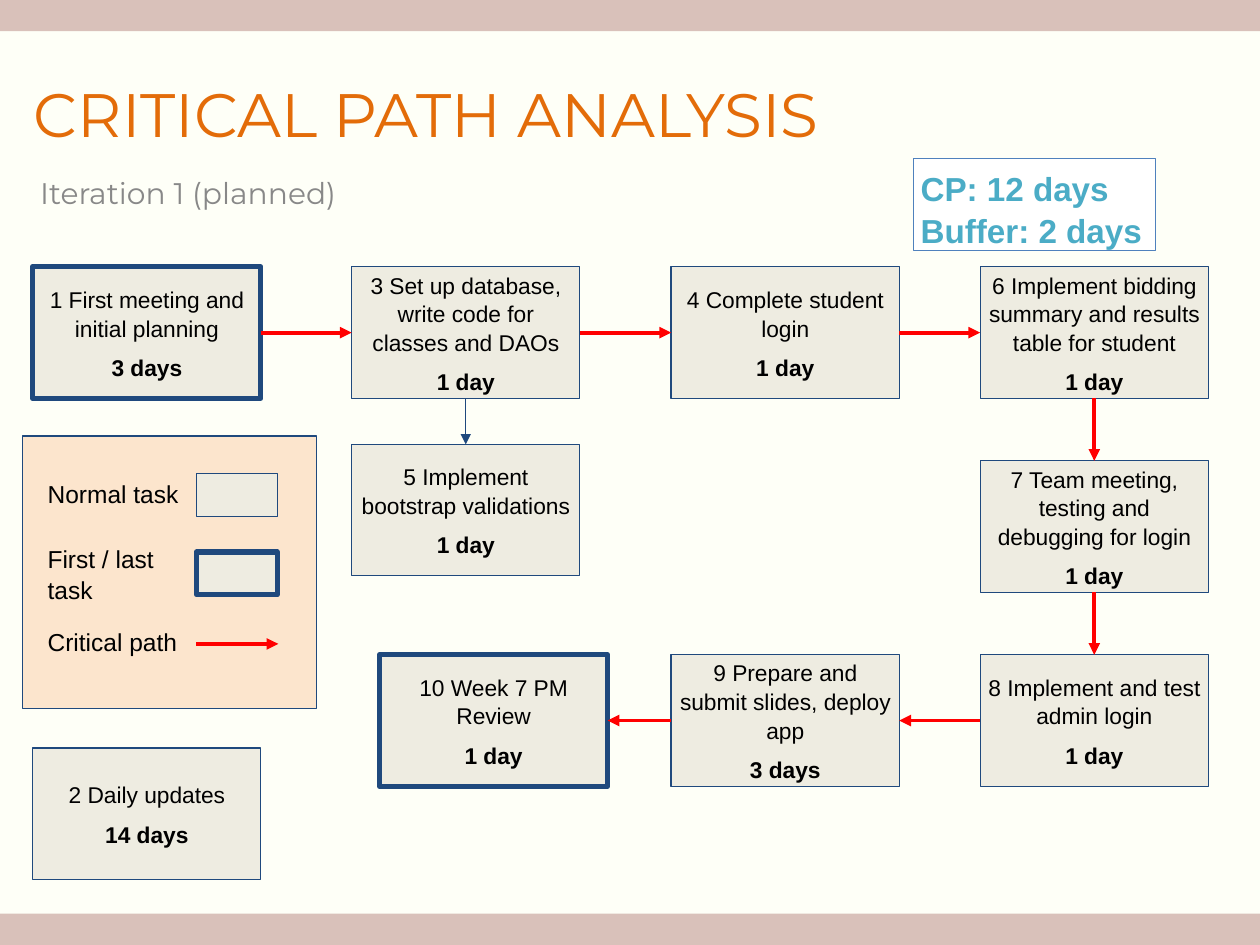
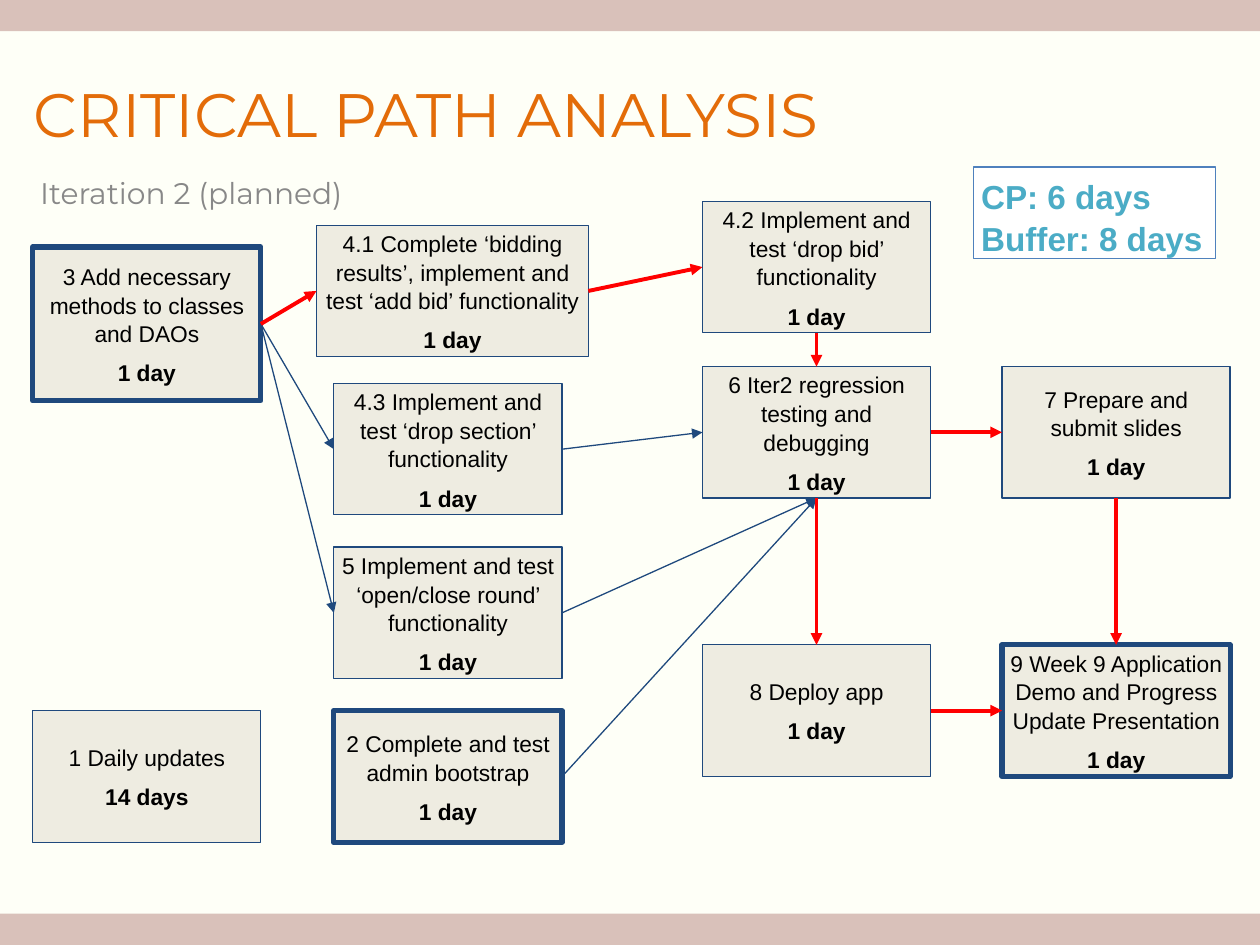
from lxml import etree
from pptx import Presentation
from pptx.dml.color import RGBColor
from pptx.enum import shapes, text
from pptx.oxml import ns
from pptx.util import Cm, Pt

BAND = RGBColor(0xD9, 0xC1, 0xBA)
PAPER = RGBColor(0xFE, 0xFF, 0xF7)
ORANGE = RGBColor(0xE3, 0x6C, 0x09)
GREY = RGBColor(0x88, 0x88, 0x88)
NAVY = RGBColor(0x1F, 0x49, 0x7D)
BEIGE = RGBColor(0xEE, 0xEC, 0xE1)
PEACH = RGBColor(0xFC, 0xE5, 0xCD)
BLUE = RGBColor(0x4F, 0x81, 0xBD)
AQUA = RGBColor(0x4B, 0xAC, 0xC6)
RED = RGBColor(0xFF, 0x00, 0x00)
BLACK = RGBColor(0x00, 0x00, 0x00)
WHITE = RGBColor(0xFF, 0xFF, 0xFF)

HEADING_FONT, BODY_FONT = "Montserrat", "Arial"
THIN, THICK, CRITICAL = 0.75, 3, 2.25
TASK_WIDTH, TASK_HEIGHT = 4.6, 2.65
LEFT = 0.66
PAGE_WIDTH, PAGE_HEIGHT, BAND_HEIGHT = 25.4, 19.05, 0.63
TOP_SIDE, LEFT_SIDE, BOTTOM_SIDE, RIGHT_SIDE = range(4)


class PathDeck:
    """Holds the deck, its style and the page being drawn; lengths are in cm."""

    def __init__(self):
        self.deck = Presentation()
        self.deck.slide_width = Cm(PAGE_WIDTH)
        self.deck.slide_height = Cm(PAGE_HEIGHT)
        background = self.deck.slide_master.background.fill
        background.solid()
        background.fore_color.rgb = PAPER
        self.page = None

    def start_page(self, subtitle):
        self.page = self.deck.slides.add_slide(self.deck.slide_layouts[5])
        for top in (0, PAGE_HEIGHT - BAND_HEIGHT):
            self.rectangle(0, top, PAGE_WIDTH, BAND_HEIGHT, BAND)
        title = self.page.shapes.title
        title.left, title.top = Cm(LEFT), Cm(1.52)
        title.width, title.height = Cm(20), Cm(1.85)
        self.prepare(title.text_frame, 0.02)
        self.add_span(title.text_frame.paragraphs[0], "CRITICAL PATH ANALYSIS",
                      35, ORANGE, HEADING_FONT)
        self.label(subtitle, LEFT, 3.38, 13, 1.52, 17, GREY, HEADING_FONT, 0.15)

    def prepare(self, frame, inset, anchor=text.MSO_ANCHOR.TOP):
        frame.word_wrap = True
        frame.auto_size = text.MSO_AUTO_SIZE.NONE
        frame.vertical_anchor = anchor
        frame.margin_left = frame.margin_right = Cm(inset)
        frame.margin_top = frame.margin_bottom = Cm(inset)

    def add_span(self, para, words, size, color, font=BODY_FONT, bold=False,
                 align=text.PP_ALIGN.LEFT):
        para.alignment = align
        if font == BODY_FONT:
            para.line_spacing = 1.05
        span = para.add_run()
        span.text = words
        span.font.size = Pt(size)
        span.font.name = font
        span.font.bold = bold
        span.font.color.rgb = color

    def label(self, words, left, top, width, height, size, color,
              font=BODY_FONT, inset=0.25):
        box = self.page.shapes.add_textbox(Cm(left), Cm(top), Cm(width), Cm(height))
        self.prepare(box.text_frame, inset)
        self.add_span(box.text_frame.paragraphs[0], words, size, color, font)

    def rectangle(self, left, top, width, height, fill, line=None, weight=THIN):
        box = self.page.shapes.add_shape(
            shapes.MSO_SHAPE.RECTANGLE, Cm(left), Cm(top), Cm(width), Cm(height))
        box.shadow.inherit = False
        box.fill.solid()
        box.fill.fore_color.rgb = fill
        if line is None:
            box.line.fill.background()
        else:
            box.line.color.rgb = line
            box.line.width = Pt(weight)
        return box

    def task(self, name, duration, left, top, weight=THIN,
             width=TASK_WIDTH, height=TASK_HEIGHT):
        box = self.rectangle(left, top, width, height, BEIGE, NAVY, weight)
        frame = box.text_frame
        self.prepare(frame, 0.15, text.MSO_ANCHOR.MIDDLE)
        center = text.PP_ALIGN.CENTER
        self.add_span(frame.paragraphs[0], name, 13, BLACK, align=center)
        para = frame.add_paragraph()
        para.space_before = para.space_after = Pt(6)
        self.add_span(para, duration, 13, BLACK, bold=True, align=center)
        return box

    def arrow(self, left=0, top=0, right=0, bottom=0, critical=True):
        line = self.page.shapes.add_connector(
            shapes.MSO_CONNECTOR.STRAIGHT, Cm(left), Cm(top), Cm(right), Cm(bottom))
        line.line.color.rgb = RED if critical else NAVY
        line.line.width = Pt(CRITICAL if critical else THIN)
        properties = line._element.spPr
        etree.SubElement(properties.find(ns.qn("a:ln")), ns.qn("a:tailEnd"), type="triangle")
        etree.SubElement(properties, ns.qn("a:effectLst"))
        return line

    def link(self, start, start_side, end, end_side, critical=True):
        line = self.arrow(critical=critical)
        line.begin_connect(start, start_side)
        line.end_connect(end, end_side)

    def summary(self, left, top, path_days, buffer_days):
        box = self.rectangle(left, top, 4.88, 1.85, WHITE, BLUE)
        frame = box.text_frame
        self.prepare(frame, 0.15)
        self.add_span(frame.paragraphs[0], f"CP: {path_days} days", 19, AQUA, bold=True)
        self.add_span(frame.add_paragraph(), f"Buffer: {buffer_days} days", 19, AQUA,
                      bold=True)

    def legend(self):
        self.rectangle(0.46, 8.79, 5.92, 5.49, PEACH, NAVY)
        for words, top in (("Normal task", 9.37), ("First / last task", 10.69),
                           ("Critical path", 12.37)):
            self.label(words, 0.71, top, 3.35, 0.91, 14, BLACK)
        for top, weight in ((9.55, THIN), (11.13, THICK)):
            self.rectangle(3.96, top, 1.63, 0.86, BEIGE, NAVY, weight)
        self.arrow(3.96, 12.98, 5.61, 12.98)


def draw_first_iteration(deck):
    deck.start_page("Iteration 1 (planned)")
    second, third, fourth = 7.09, 13.53, 19.76
    upper, middle, lower = (5.38 + 3.91 * row for row in range(3))
    deck.legend()
    meeting = deck.task("1 First meeting and initial planning", "3 days", LEFT, upper, THICK)
    database = deck.task("3 Set up database, write code for classes and DAOs", "1 day",
                         second, upper)
    login = deck.task("4 Complete student login", "1 day", third, upper)
    validations = deck.task("5 Implement bootstrap validations", "1 day", second, 8.96)
    bidding = deck.task("6 Implement bidding summary and results table for student",
                        "1 day", fourth, upper)
    testing = deck.task("7 Team meeting, testing and debugging for login", "1 day",
                        fourth, middle)
    admin = deck.task("8 Implement and test admin login", "1 day", fourth, lower)
    submission = deck.task("9 Prepare and submit slides, deploy app", "3 days", third, lower)
    review = deck.task("10 Week 7 PM Review", "1 day", 7.65, lower, THICK)
    deck.task("2 Daily updates", "14 days", LEFT, 15.08)

    for start, end in ((meeting, database), (database, login), (login, bidding)):
        deck.link(start, RIGHT_SIDE, end, LEFT_SIDE)
    for start, end in ((bidding, testing), (testing, admin)):
        deck.link(start, BOTTOM_SIDE, end, TOP_SIDE)
    for start, end in ((admin, submission), (submission, review)):
        deck.link(start, LEFT_SIDE, end, RIGHT_SIDE)
    deck.link(database, BOTTOM_SIDE, validations, TOP_SIDE, critical=False)
    deck.summary(18.41, 3.2, 12, 2)


def draw_second_iteration(deck):
    deck.start_page("Iteration 2 (planned)")
    second, third, fourth = 6.73, 14.16, 20.2
    section_row, round_row, bottom_row = (7.73 + 3.3 * row for row in range(3))
    testing_row, deploy_row = 7.39, 13
    bootstrap = deck.task("2 Complete and test admin bootstrap", "1 day",
                          second, bottom_row, THICK)
    methods = deck.task("3 Add necessary methods to classes and DAOs", "1 day",
                        LEFT, 4.98, THICK, height=3.1)
    add_bid = deck.task("4.1 Complete ‘bidding results’, implement and test "
                        "‘add bid’ functionality", "1 day", 6.38, 4.54, width=5.48)
    drop_bid = deck.task("4.2 Implement and test ‘drop bid’ functionality", "1 day",
                         third, 4.06)
    drop_section = deck.task("4.3 Implement and test ‘drop section’ functionality",
                             "1 day", second, section_row)
    rounds = deck.task("5 Implement and test ‘open/close round’ functionality",
                       "1 day", second, round_row)
    testing = deck.task("6 Iter2 regression testing and debugging", "1 day",
                        third, testing_row)
    submission = deck.task("7 Prepare and submit slides", "1 day", fourth, testing_row)
    deploy = deck.task("8 Deploy app", "1 day", third, deploy_row)
    demo = deck.task("9 Week 9 Application Demo and Progress Update Presentation",
                     "1 day", fourth, deploy_row, THICK)
    deck.task("1 Daily updates", "14 days", LEFT, bottom_row)

    for end in (drop_section, rounds):
        deck.link(methods, RIGHT_SIDE, end, LEFT_SIDE, critical=False)
    deck.link(drop_section, RIGHT_SIDE, testing, LEFT_SIDE, critical=False)
    for start in (rounds, bootstrap):
        deck.link(start, RIGHT_SIDE, testing, BOTTOM_SIDE, critical=False)
    for start, end in ((methods, add_bid), (add_bid, drop_bid),
                       (testing, submission), (deploy, demo)):
        deck.link(start, RIGHT_SIDE, end, LEFT_SIDE)
    for start, end in ((drop_bid, testing), (testing, deploy), (submission, demo)):
        deck.link(start, BOTTOM_SIDE, end, TOP_SIDE)
    deck.summary(19.63, 3.37, 6, 8)


def main():
    deck = PathDeck()
    draw_first_iteration(deck)
    draw_second_iteration(deck)
    deck.deck.save("out.pptx")


if __name__ == "__main__":
    main()
